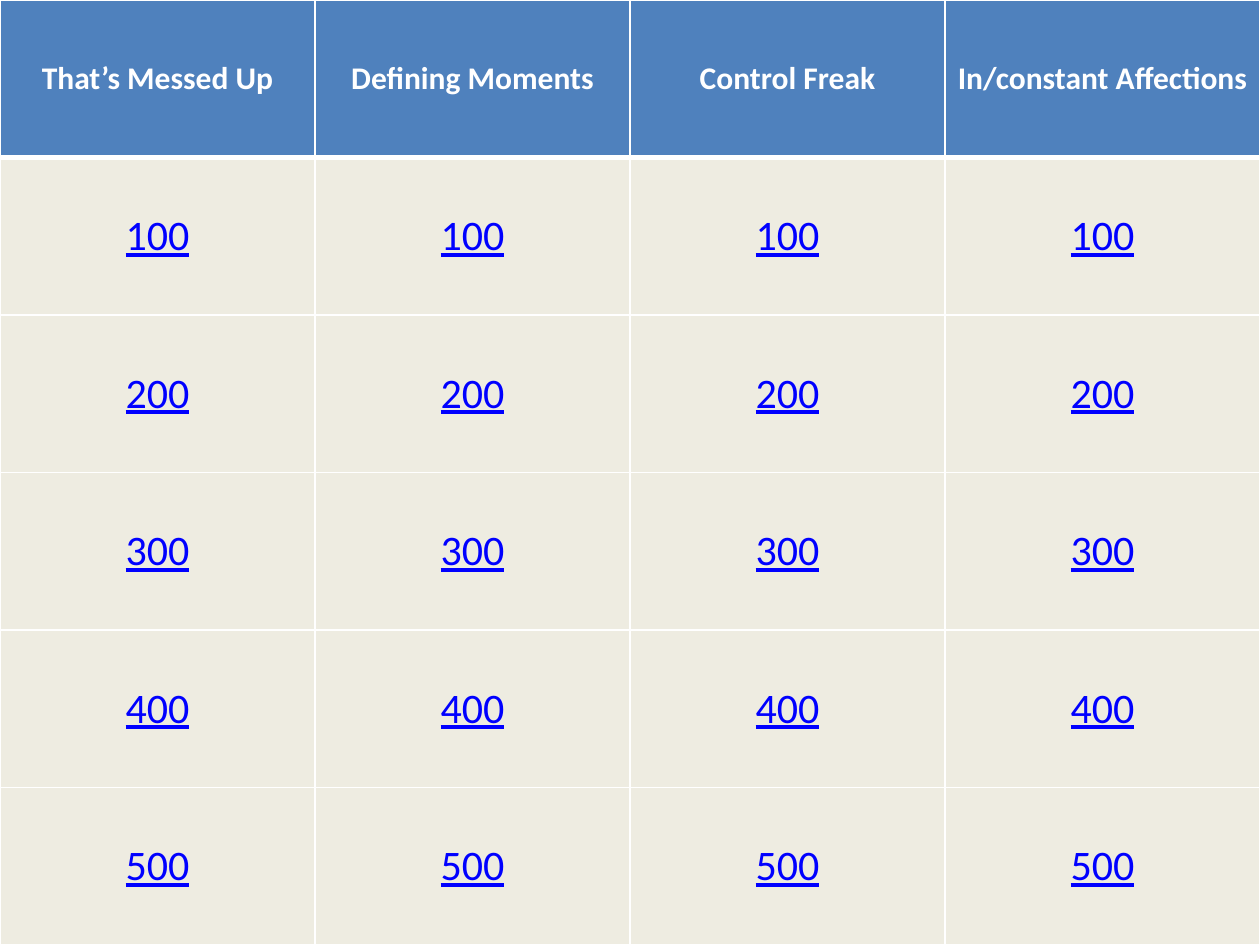
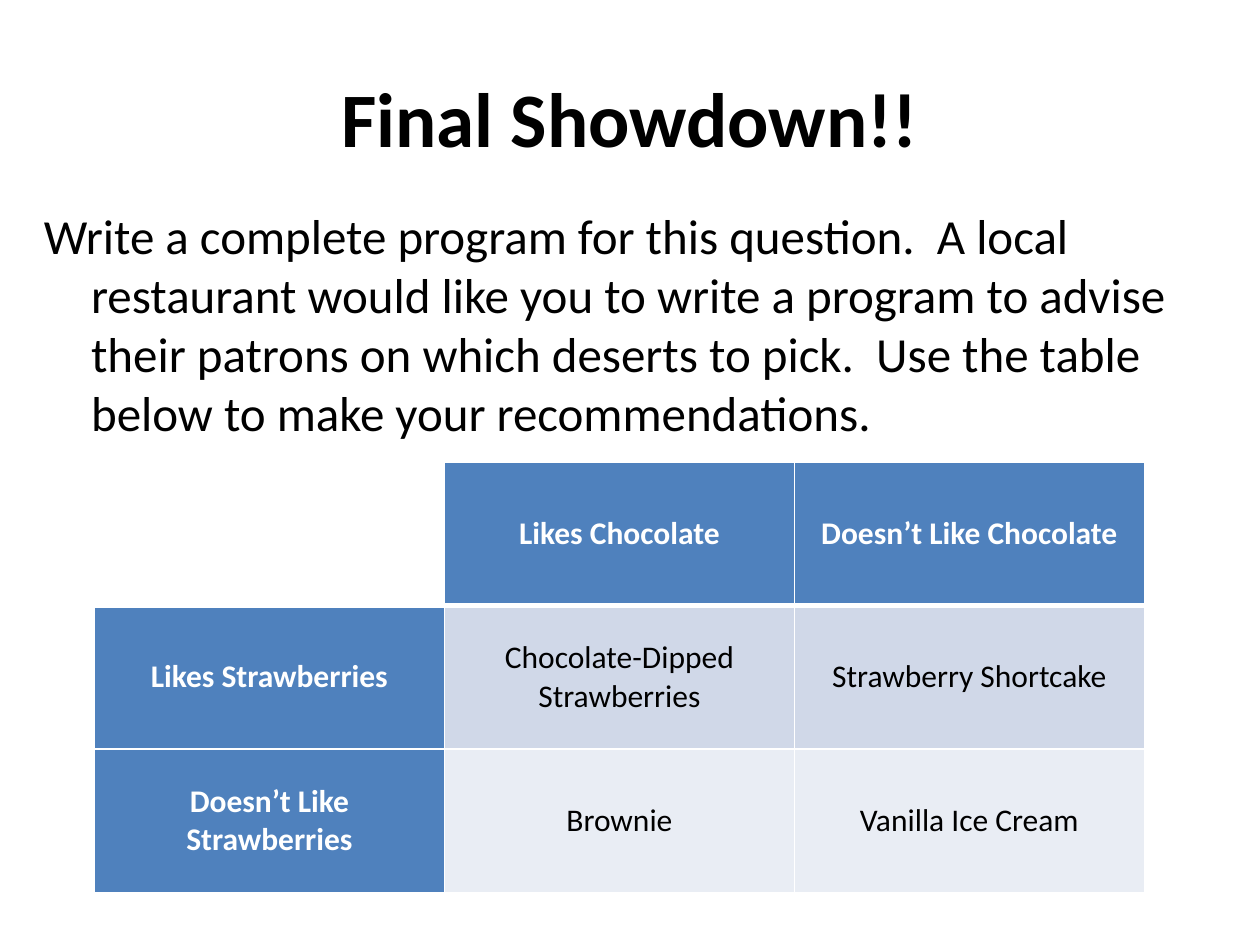
from dataclasses import dataclass

from lxml import etree
from pptx import Presentation
from pptx.dml.color import RGBColor
from pptx.enum.text import MSO_ANCHOR, PP_ALIGN
from pptx.oxml.ns import qn
from pptx.util import Pt

MIDDLE, TOP = MSO_ANCHOR.MIDDLE, MSO_ANCHOR.TOP
CENTER, LEFT = PP_ALIGN.CENTER, PP_ALIGN.LEFT
BLANK_LAYOUT = 6
SLIDE_WIDTH, SLIDE_HEIGHT = 720, 540


@dataclass(frozen=True)
class Theme:
    font: str = "Calibri"
    white: str = "FFFFFF"
    black: str = "000000"
    header: str = "4F81BD"
    board: str = "EEECE1"
    score: str = "0000FF"
    dark_band: str = "D0D8E8"
    light_band: str = "E9EDF4"
    title_size: int = 44
    body_size: int = 28
    score_size: int = 24
    label_size: int = 18
    grid_line: int = 1
    header_line: int = 3


THEME = Theme()


@dataclass(frozen=True)
class CellStyle:
    fill: str
    color: str = THEME.black
    size: int = THEME.label_size
    bold: bool = False
    underline: bool = False


HEADER = CellStyle(THEME.header, THEME.white, bold=True)
CORNER = CellStyle(THEME.white)
SCORE = CellStyle(THEME.board, THEME.score, THEME.score_size, underline=True)
DARK_BAND = CellStyle(THEME.dark_band)
LIGHT_BAND = CellStyle(THEME.light_band)

CATEGORIES = ["That’s Messed Up", "Defining Moments", "Control Freak", "In/constant Affections"]
SCORES = range(100, 501, 100)
QUESTION = (
    "Write a complete program for this question.  A local restaurant would like you "
    "to write a program to advise their patrons on which deserts to pick.  Use the "
    "table below to make your recommendations."
)
DESSERTS = [
    ["", "Likes Chocolate", "Doesn’t Like Chocolate"],
    ["Likes Strawberries", "Chocolate-Dipped Strawberries", "Strawberry Shortcake"],
    ["Doesn’t Like Strawberries", "Brownie", "Vanilla Ice Cream"],
]


def add_run(paragraph, text, size, color, bold=False, underline=False):
    run = paragraph.add_run()
    run.text = text
    font = run.font
    font.name, font.size = THEME.font, Pt(size)
    font.bold, font.underline = bold, underline
    font.color.rgb = RGBColor.from_string(color)


def add_text(slide, box, text, size, align=LEFT, anchor=TOP, bold=False):
    """Add a wrapped text box and return its paragraph."""
    frame = slide.shapes.add_textbox(*map(Pt, box)).text_frame
    frame.word_wrap = True
    frame.vertical_anchor = anchor
    paragraph = frame.paragraphs[0]
    paragraph.alignment = align
    add_run(paragraph, text, size, THEME.black, bold)
    return paragraph


def set_hanging_indent(paragraph, indent):
    properties = paragraph._p.get_or_add_pPr()
    properties.set("marL", str(Pt(indent)))
    properties.set("indent", str(-Pt(indent)))


def set_borders(cell, top, bottom):
    """Draw white cell edges; they must precede the fill in the cell properties."""
    widths = {"lnL": THEME.grid_line, "lnR": THEME.grid_line, "lnT": top, "lnB": bottom}
    properties = cell._tc.get_or_add_tcPr()
    for position, (edge, width) in enumerate(widths.items()):
        line = etree.Element(qn(f"a:{edge}"), w=str(Pt(width)))
        fill = etree.SubElement(line, qn("a:solidFill"))
        etree.SubElement(fill, qn("a:srgbClr"), val=THEME.white)
        properties.insert(position, line)


def fill_cell(cell, text, style):
    cell.fill.solid()
    cell.fill.fore_color.rgb = RGBColor.from_string(style.fill)
    cell.vertical_anchor = MIDDLE
    paragraph = cell.text_frame.paragraphs[0]
    paragraph.alignment = CENTER
    if text:
        add_run(paragraph, text, style.size, style.color, style.bold, style.underline)


def add_grid(slide, box, rows, style_at):
    """Add an evenly divided table; style_at(row, column) gives each cell's style."""
    table = slide.shapes.add_table(len(rows), len(rows[0]), *map(Pt, box)).table
    table.first_row = table.horz_banding = False
    for row, texts in enumerate(rows):
        top = THEME.header_line if row == 1 else THEME.grid_line
        bottom = THEME.header_line if row == 0 else THEME.grid_line
        for column, text in enumerate(texts):
            cell = table.cell(row, column)
            fill_cell(cell, text, style_at(row, column))
            set_borders(cell, top, bottom)


def score_style(row, column):
    return SCORE if row else HEADER


def dessert_style(row, column):
    if row == column == 0:
        return CORNER
    if row == 0 or column == 0:
        return HEADER
    return DARK_BAND if row % 2 else LIGHT_BAND


def build_score_board(slide):
    rows = [CATEGORIES] + [[str(score)] * len(CATEGORIES) for score in SCORES]
    add_grid(slide, (0, 0, SLIDE_WIDTH, SLIDE_HEIGHT), rows, score_style)


def build_final_question(slide):
    add_text(slide, (36, 21.6, 648, 90), "Final Showdown!!", THEME.title_size,
             CENTER, MIDDLE, bold=True)
    question = add_text(slide, (18, 114, 690, 180), QUESTION, THEME.body_size)
    question.space_before = Pt(0.2 * THEME.body_size)
    set_hanging_indent(question, 27)
    add_grid(slide, (54, 264, 600, 246), DESSERTS, dessert_style)


def main():
    deck = Presentation()
    deck.slide_width, deck.slide_height = Pt(SLIDE_WIDTH), Pt(SLIDE_HEIGHT)
    for build in (build_score_board, build_final_question):
        build(deck.slides.add_slide(deck.slide_layouts[BLANK_LAYOUT]))
    deck.save("out.pptx")


if __name__ == "__main__":
    main()
